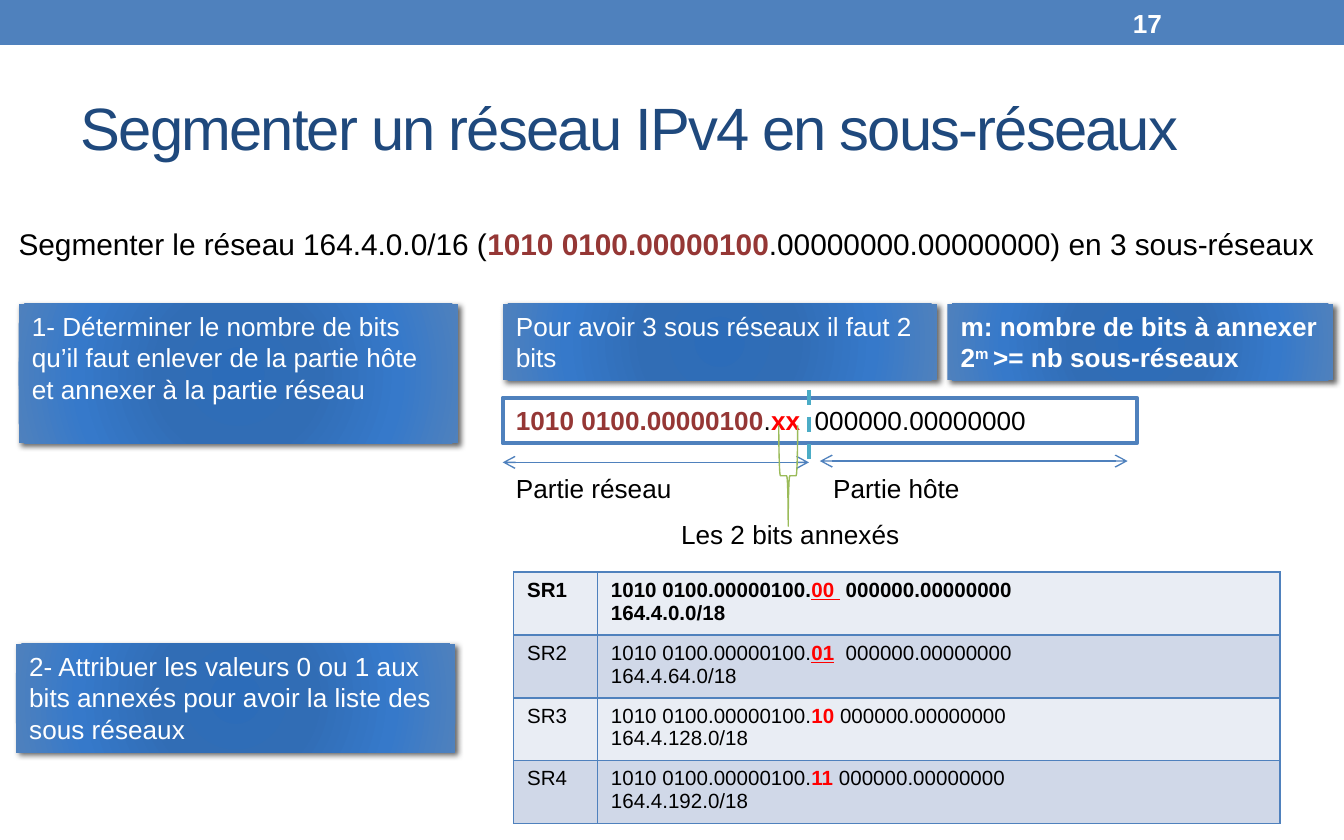
import lxml.etree
import pptx
import pptx.dml.color
import pptx.enum.dml
import pptx.enum.shapes
import pptx.enum.text
import pptx.oxml
import pptx.oxml.ns
import pptx.util

Pt = pptx.util.Pt
MIDDLE = pptx.enum.text.MSO_ANCHOR.MIDDLE
TOP = pptx.enum.text.MSO_ANCHOR.TOP
SHAPES = pptx.enum.shapes.MSO_SHAPE
NAMESPACE = pptx.oxml.ns.nsdecls("a")
FONT = "Arial"
COLORS = {
    "blue": "4F81BD", "navy": "1F497D", "white": "FFFFFF", "black": "000000",
    "maroon": "953735", "red": "FF0000", "teal": "4BACC6", "green": "9BBB59",
    "band_light": "E9EDF4", "band_dark": "D0D8E8",
}
GRADIENT = [(0, "2C6CB9"), (34, "316DB5"), (70, "3679CA"), (100, "4F81BD")]
NETWORK = ("1010 0100.00000100", {"color": "maroon", "bold": True})

TITLE = "Segmenter un réseau IPv4 en sous-réseaux"
CARDS = [
    ((10, 162.7, 235.4, 74.9), True,
     ["1- Déterminer le nombre de bits qu’il faut enlever de la partie hôte et annexer à la partie réseau"], False),
    ((269.3, 162.7, 232.6, 41), True, ["Pour avoir 3 sous réseaux il faut 2 bits"], False),
    ((8.6, 344.9, 235.4, 58.3), True,
     ["2- Attribuer les valeurs 0 ou 1 aux bits annexés pour avoir la liste des sous réseaux"], False),
    ((507.6, 162.7, 206.6, 41), False,
     ["m: nombre de bits à annexer", ["2", ("m ", {"raised": 30}), ">= nb sous-réseaux"]], True),
]
LABELS = [
    ((2.9, 117.4, 715.7, 26.6), 16,
     [["Segmenter le réseau 164.4.0.0/16 (", NETWORK, ".00000000.00000000) en 3 sous-réseaux"]]),
    ((269.3, 249.8, 98.6, 24.5), 14, ["Partie réseau"]),
    ((439.2, 249.8, 82.8, 24.5), 14, ["Partie hôte"]),
    ((357.8, 274.3, 131.8, 24.5), 14, ["Les 2 bits annexés"]),
]
ADDRESS = [[NETWORK, ".", ("xx  ", {"color": "red", "bold": True}), "000000.00000000"]]
ARROWS = [(433.4, 269.3, 247.7), (604.1, 439.2, 247)]
SUBNETS = [
    ("SR1", "00 ", " ", "164.4.0.0/18", True),
    ("SR2", "01", "  ", "164.4.64.0/18", True),
    ("SR3", "10 ", "", "164.4.128.0/18", False),
    ("SR4", "11 ", "", "164.4.192.0/18", False),
]
COLUMN_WIDTHS = (44.9, 365.6)
ROW_HEIGHT = 33.6


def rgb(name):
    return pptx.dml.color.RGBColor.from_string(COLORS[name])


def write(frame, paragraphs, size=14, color="black", bold=False, wrap=True, anchor=TOP, spacing=None):
    frame.word_wrap = wrap
    frame.vertical_anchor = anchor
    for index, content in enumerate(paragraphs):
        paragraph = frame.paragraphs[0] if index == 0 else frame.add_paragraph()
        paragraph.alignment = pptx.enum.text.PP_ALIGN.LEFT
        for part in [content] if isinstance(content, str) else content:
            text, changes = (part, {}) if isinstance(part, str) else part
            run = paragraph.add_run()
            run.text = text
            run.font.name = FONT
            run.font.size = Pt(size)
            run.font.bold = changes.get("bold", bold)
            run.font.underline = changes.get("underline", False)
            run.font.color.rgb = rgb(changes.get("color", color))
            properties = run.font._element
            if "raised" in changes:
                properties.set("baseline", str(changes["raised"] * 1000))
            if spacing is not None:
                properties.set("spc", str(spacing * 100))


def add_shape(slide, kind, box, fill=None, line=None, width=0.75):
    shape = slide.shapes.add_shape(kind, *map(Pt, box))
    shape.shadow.inherit = False
    if fill:
        shape.fill.solid()
        shape.fill.fore_color.rgb = rgb(fill)
    else:
        shape.fill.background()
    if line:
        shape.line.color.rgb = rgb(line)
        shape.line.width = Pt(width)
    else:
        shape.line.fill.background()
    return shape


def add_card(slide, box, wrap, paragraphs, bold):
    shape = add_shape(slide, SHAPES.RECTANGLE, box)
    stops = "".join(f'<a:gs pos="{position * 1000}"><a:srgbClr val="{color}"/></a:gs>'
                    for position, color in GRADIENT)
    gradient = pptx.oxml.parse_xml(
        f'<a:gradFill {NAMESPACE} rotWithShape="1"><a:gsLst>{stops}</a:gsLst><a:path path="circle">'
        '<a:fillToRect l="100000" t="100000" r="100000" b="100000"/></a:path></a:gradFill>')
    properties = shape._element.spPr
    properties.replace(properties.find(pptx.oxml.ns.qn("a:noFill")), gradient)
    properties.find(pptx.oxml.ns.qn("a:effectLst")).append(pptx.oxml.parse_xml(
        f'<a:outerShdw {NAMESPACE} blurRad="{Pt(3)}" dist="{Pt(2)}" dir="{45 * 60000}" rotWithShape="0">'
        f'<a:srgbClr val="{COLORS["black"]}"><a:alpha val="60000"/></a:srgbClr></a:outerShdw>'))
    write(shape.text_frame, paragraphs, color="white", bold=bold, wrap=wrap)


def add_line(slide, start, end, color, width, arrows=False, dashed=False):
    line = slide.shapes.add_connector(pptx.enum.shapes.MSO_CONNECTOR.STRAIGHT, *map(Pt, start + end))
    line.line.color.rgb = rgb(color)
    line.line.width = Pt(width)
    if dashed:
        line.line.dash_style = pptx.enum.dml.MSO_LINE.DASH
    if arrows:
        for tag in ("headEnd", "tailEnd"):
            outline = line.line._get_or_add_ln()
            outline.append(pptx.oxml.parse_xml(f'<a:{tag} {NAMESPACE} type="arrow"/>'))
    lxml.etree.SubElement(line._element.spPr, pptx.oxml.ns.qn("a:effectLst"))


def format_cell(cell, paragraphs, fill, bold):
    write(cell.text_frame, paragraphs, size=11, bold=bold)
    properties = cell._tc.get_or_add_tcPr()
    for side in ("lnL", "lnR", "lnT", "lnB"):
        properties.append(pptx.oxml.parse_xml(
            f'<a:{side} {NAMESPACE} w="{Pt(1)}"><a:solidFill><a:srgbClr val="{COLORS["blue"]}"/>'
            f'</a:solidFill></a:{side}>'))
    cell.fill.solid()
    cell.fill.fore_color.rgb = rgb(fill)


def add_subnet_table(slide):
    table = slide.shapes.add_table(len(SUBNETS), len(COLUMN_WIDTHS), Pt(275.2), Pt(306.5),
                                   Pt(sum(COLUMN_WIDTHS)), Pt(ROW_HEIGHT * len(SUBNETS))).table
    table.first_row = table.horz_banding = False
    for column, width in zip(table.columns, COLUMN_WIDTHS):
        column.width = Pt(width)
    for index, (name, bits, gap, prefix, underline) in enumerate(SUBNETS):
        table.rows[index].height = Pt(ROW_HEIGHT)
        fill = "band_dark" if index % 2 else "band_light"
        marked = (bits, {"color": "red", "bold": True, "underline": underline})
        address = ["1010 0100.00000100.", marked, gap + "000000.00000000"]
        for column, paragraphs in enumerate(([name], [address, prefix])):
            format_cell(table.cell(index, column), paragraphs, fill, bold=index == 0)


def main():
    """Build the slide on splitting an IPv4 network into subnets."""
    presentation = pptx.Presentation()
    presentation.slide_width, presentation.slide_height = Pt(720), Pt(450)
    slide = presentation.slides.add_slide(presentation.slide_layouts[5])
    add_shape(slide, SHAPES.RECTANGLE, (0, 0, 720, 24), fill="blue")

    title = slide.shapes.title
    title.left, title.top, title.width, title.height = map(Pt, (36, 35.3, 648, 64.8))
    write(title.text_frame, [TITLE], size=32, color="navy", anchor=MIDDLE, spacing=-1)

    number = slide.shapes.add_textbox(*map(Pt, (599.8, 1.4, 84.2, 21.6)))
    write(number.text_frame, ["17"], color="white", bold=True, anchor=MIDDLE)

    for card in CARDS:
        add_card(slide, *card)
    address = add_shape(slide, SHAPES.RECTANGLE, (269.3, 213.1, 339.8, 24.5), "white", "blue", 2.08)
    write(address.text_frame, ADDRESS)
    add_line(slide, (433.4, 208.8), (433.4, 247.7), "teal", 2.08, dashed=True)
    for right, left, y in ARROWS:
        add_line(slide, (right, y), (left, y), "blue", 0.75, arrows=True)
    brace = add_shape(slide, SHAPES.LEFT_BRACE, (395.3, 249.8, 54, 10.1), line="green")
    brace.rotation = 270
    for box, size, paragraphs in LABELS:
        label = slide.shapes.add_textbox(*map(Pt, box))
        write(label.text_frame, paragraphs, size=size, wrap=False)
    add_subnet_table(slide)
    presentation.save("out.pptx")


if __name__ == "__main__":
    main()
